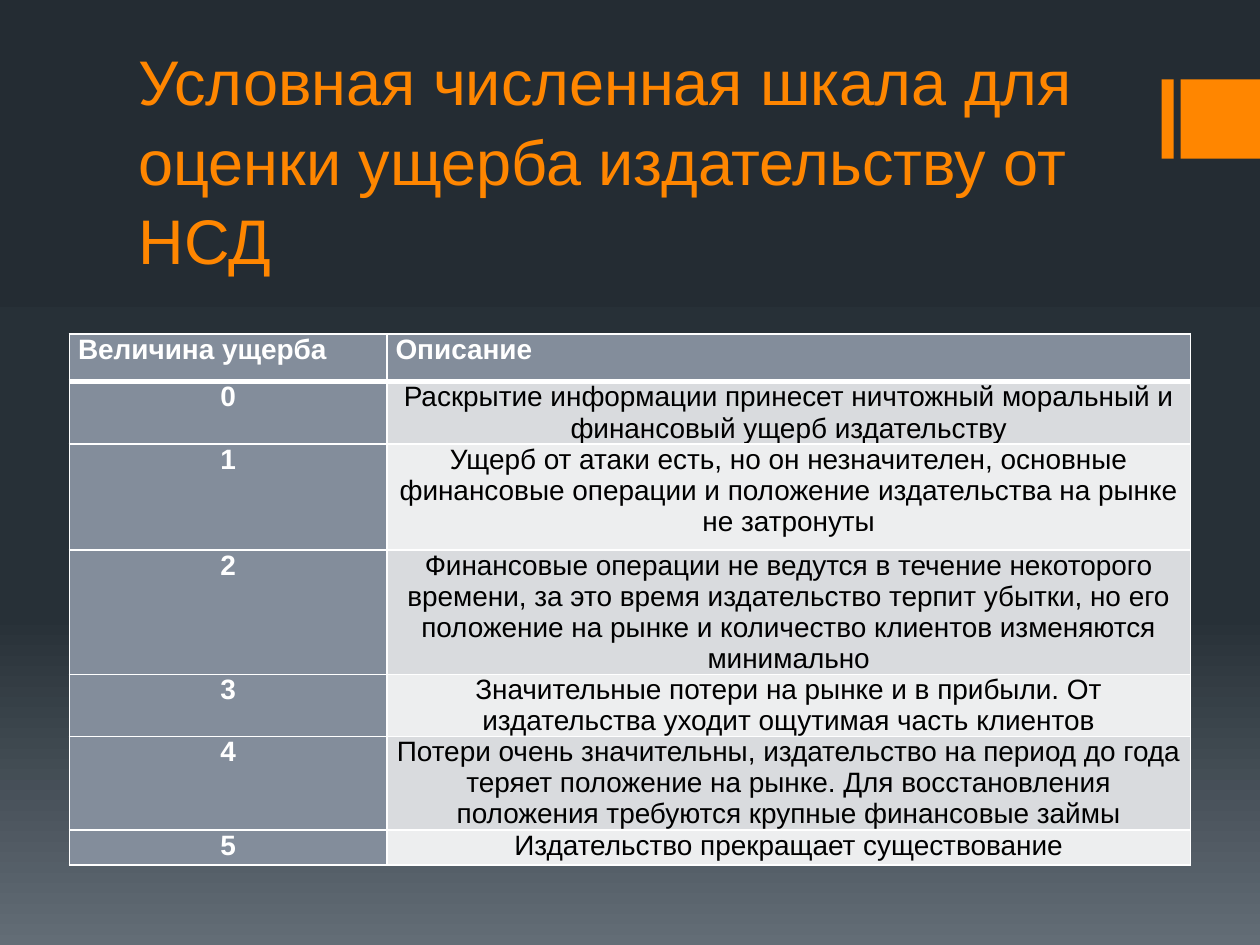
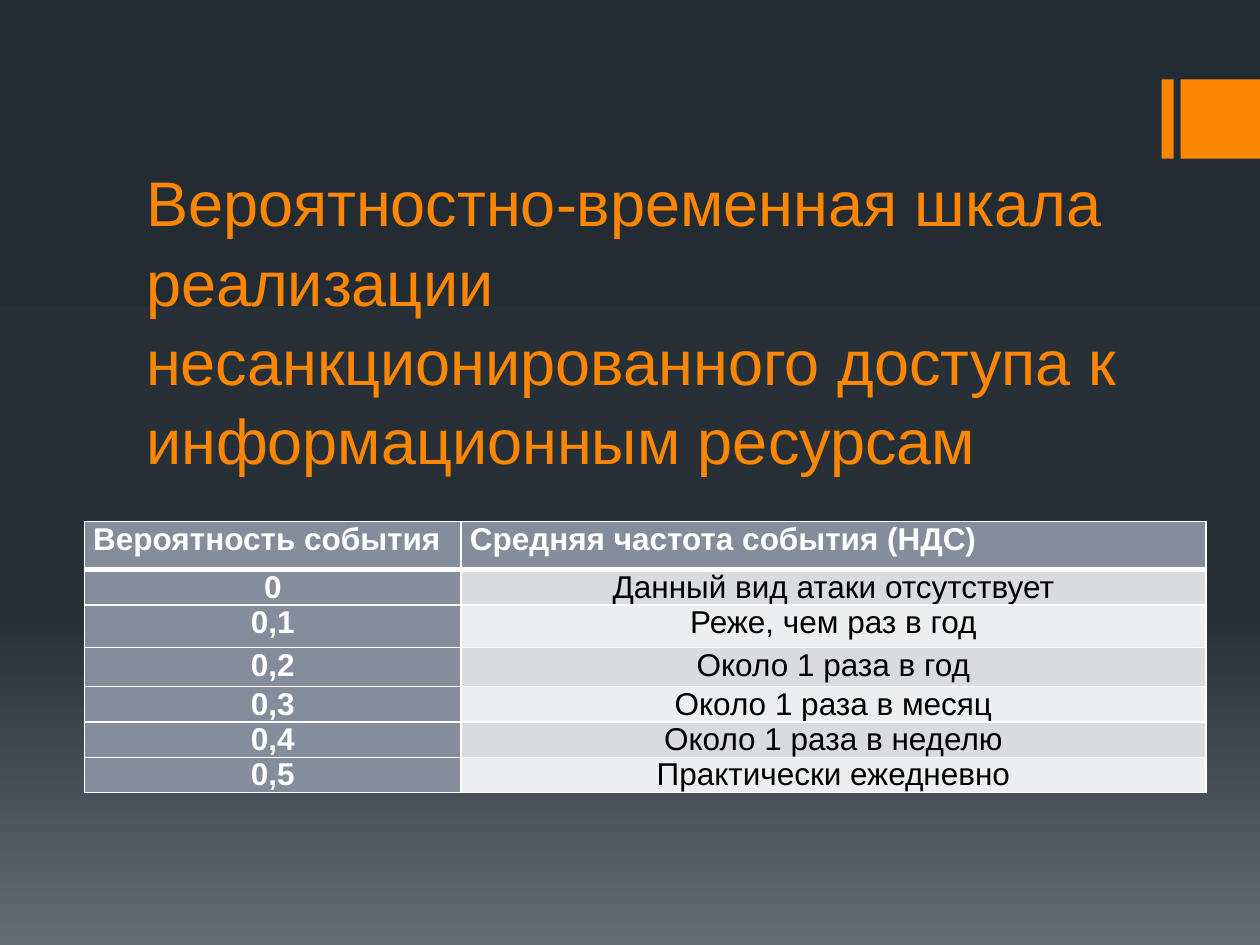
"""Build two slides with rating scales for unauthorised access risks."""
from copy import deepcopy

from lxml import etree
from pptx import Presentation
from pptx.dml.color import RGBColor
from pptx.enum.shapes import MSO_SHAPE
from pptx.enum.text import MSO_ANCHOR, MSO_AUTO_SIZE, PP_ALIGN
from pptx.oxml.ns import qn
from pptx.util import Pt

RECTANGLE = MSO_SHAPE.RECTANGLE
BOTTOM = MSO_ANCHOR.BOTTOM
TOP = MSO_ANCHOR.TOP
NO_AUTOFIT = MSO_AUTO_SIZE.NONE
LEFT = PP_ALIGN.LEFT
CENTER = PP_ALIGN.CENTER
JUSTIFY = PP_ALIGN.JUSTIFY

COLORS = {
    "accent": "FF8600",
    "heading": "838D9B",
    "odd_row": "D9DBDE",
    "even_row": "EDEEEF",
    "light": "FFFFFF",
    "dark": "000000",
}
BACKDROP = [(0, "242C33"), (0.65, "273037"), (1, "636D76")]
FONT = "Arial"
TITLE_FRAME = {"vertical_anchor": BOTTOM, "word_wrap": True, "auto_size": NO_AUTOFIT}
TITLE_PARAGRAPH = {"alignment": LEFT, "line_spacing": 1.05}
CELL_FORMAT = {
    "margin_left": Pt(5.04),
    "margin_right": Pt(5.04),
    "margin_top": Pt(0),
    "margin_bottom": Pt(0),
    "vertical_anchor": TOP,
}

DAMAGE = {
    "title": "Условная численная шкала для оценки ущерба издательству от НСД",
    "title_box": (72, 71.28, 576, 90.72),
    "origin": (39.6, 190.8),
    "columns": (181.44, 459.36),
    "heights": (27.36, 20.16, 60.48, 60.48, 20.16, 20.16, 20.16),
    "size": 16,
    "rows": [
        ("Величина ущерба", "Описание"),
        ("0", "Раскрытие информации принесет ничтожный моральный и финансовый ущерб издательству"),
        ("1", "Ущерб от атаки есть, но он незначителен, основные финансовые операции "
              "и положение издательства на рынке не затронуты"),
        ("2", "Финансовые операции не ведутся в течение некоторого времени, за это время "
              "издательство терпит убытки, но его положение на рынке и количество клиентов "
              "изменяются минимально"),
        ("3", "Значительные потери на рынке и в прибыли. От издательства уходит ощутимая "
              "часть клиентов"),
        ("4", "Потери очень значительны, издательство на период до года теряет положение "
              "на рынке. Для восстановления положения требуются крупные финансовые займы"),
        ("5", "Издательство прекращает существование"),
    ],
}
PROBABILITY = {
    "title": "Вероятностно-временная шкала реализации несанкционированного доступа "
             "к информационным ресурсам",
    "title_box": (76.32, 156.96, 576, 119.52),
    "origin": (48.24, 298.08),
    "columns": (215.28, 425.52),
    "heights": (27.36, 20.16, 24.48, 22.32, 20.16, 20.16, 20.16),
    "size": 18,
    "rows": [
        ("Вероятность события", "Средняя частота события (НДС)"),
        ("0", "Данный вид атаки отсутствует"),
        ("0,1", "Реже, чем раз в год"),
        ("0,2", "Около 1 раза в год"),
        ("0,3", "Около 1 раза в месяц"),
        ("0,4", "Около 1 раза в неделю"),
        ("0,5", "Практически ежедневно"),
    ],
}


def rgb(name):
    """Return the named colour."""
    return RGBColor.from_string(COLORS[name])


def apply(target, formats):
    """Set each format value as an attribute of the target."""
    for attribute, value in formats.items():
        setattr(target, attribute, value)


def style_font(font, size, color, bold=False):
    """Give a font its face, size, weight and colour."""
    apply(font, {"name": FONT, "size": Pt(size), "bold": bold})
    font.color.rgb = rgb(color)


def paint_backdrop(master):
    """Fill the master background with the three-stop gradient."""
    fill = master.background.fill
    fill.gradient()
    fill.gradient_angle = 270
    stop_list = next(master.element.iter(qn("a:gsLst")))
    stop_list.insert(1, deepcopy(stop_list[0]))
    for stop, (position, color) in zip(fill.gradient_stops, BACKDROP):
        stop.position = position
        stop.color.rgb = RGBColor.from_string(color)


def add_accent_bars(slide, master):
    """Draw the orange corner bars and move them to the master."""
    for index, (left, width) in enumerate([(663.84, 6.8), (674.64, 45.36)]):
        bar = slide.shapes.add_shape(RECTANGLE, Pt(left), Pt(45.36), Pt(width), Pt(45.36))
        bar.shadow.inherit = False
        bar.fill.solid()
        bar.fill.fore_color.rgb = rgb("accent")
        bar.line.fill.background()
        bar.element.nvSpPr.cNvPr.id = 100 + index
        master.shapes.element.insert(2 + index, bar.element)


def set_title(slide, text, box):
    """Place and format the slide title."""
    title = slide.shapes.title
    apply(title, dict(zip(("left", "top", "width", "height"), map(Pt, box))))
    title.text_frame.text = text
    apply(title.text_frame, TITLE_FRAME)
    paragraph = title.text_frame.paragraphs[0]
    apply(paragraph, TITLE_PARAGRAPH)
    style_font(paragraph.font, 36, "accent")


def set_borders(cell, top, bottom):
    """Draw white borders around a cell with the given top and bottom widths."""
    properties = cell._tc.get_or_add_tcPr()
    for side, width in (("L", 1), ("R", 1), ("T", top), ("B", bottom)):
        border = etree.SubElement(properties, qn(f"a:ln{side}"), w=str(Pt(width)))
        solid = etree.SubElement(border, qn("a:solidFill"))
        etree.SubElement(solid, qn("a:srgbClr"), val=COLORS["light"])


def fill_cell(cell, text, row, column, size):
    """Write and format one table cell by its place in the table."""
    is_heading = row == 0 or column == 0
    row_fill = "odd_row" if row % 2 else "even_row"
    set_borders(cell, 3 if row == 1 else 1, 3 if row == 0 else 1)
    cell.fill.solid()
    cell.fill.fore_color.rgb = rgb("heading" if is_heading else row_fill)
    apply(cell, CELL_FORMAT)
    cell.text = text
    paragraph = cell.text_frame.paragraphs[0]
    paragraph.alignment = CENTER if row else JUSTIFY
    style_font(paragraph.runs[0].font, size, "light" if is_heading else "dark", is_heading)


def add_scale(slide, scale):
    """Add the two-column rating table."""
    rows, columns, heights = scale["rows"], scale["columns"], scale["heights"]
    left, top = scale["origin"]
    table = slide.shapes.add_table(
        len(rows), len(columns), Pt(left), Pt(top), Pt(sum(columns)), Pt(sum(heights))
    ).table
    for column, width in zip(table.columns, columns):
        column.width = Pt(width)
    for row, height in zip(table.rows, heights):
        row.height = Pt(height)
    for row, texts in enumerate(rows):
        for column, text in enumerate(texts):
            fill_cell(table.cell(row, column), text, row, column, scale["size"])


def main():
    """Build and save the presentation."""
    presentation = Presentation()
    apply(presentation, {"slide_width": Pt(720), "slide_height": Pt(540)})
    master = presentation.slide_master
    paint_backdrop(master)
    title_only = presentation.slide_layouts[5]
    for scale in (DAMAGE, PROBABILITY):
        slide = presentation.slides.add_slide(title_only)
        set_title(slide, scale["title"], scale["title_box"])
        add_scale(slide, scale)
    add_accent_bars(presentation.slides[0], master)
    presentation.save("out.pptx")


if __name__ == "__main__":
    main()
